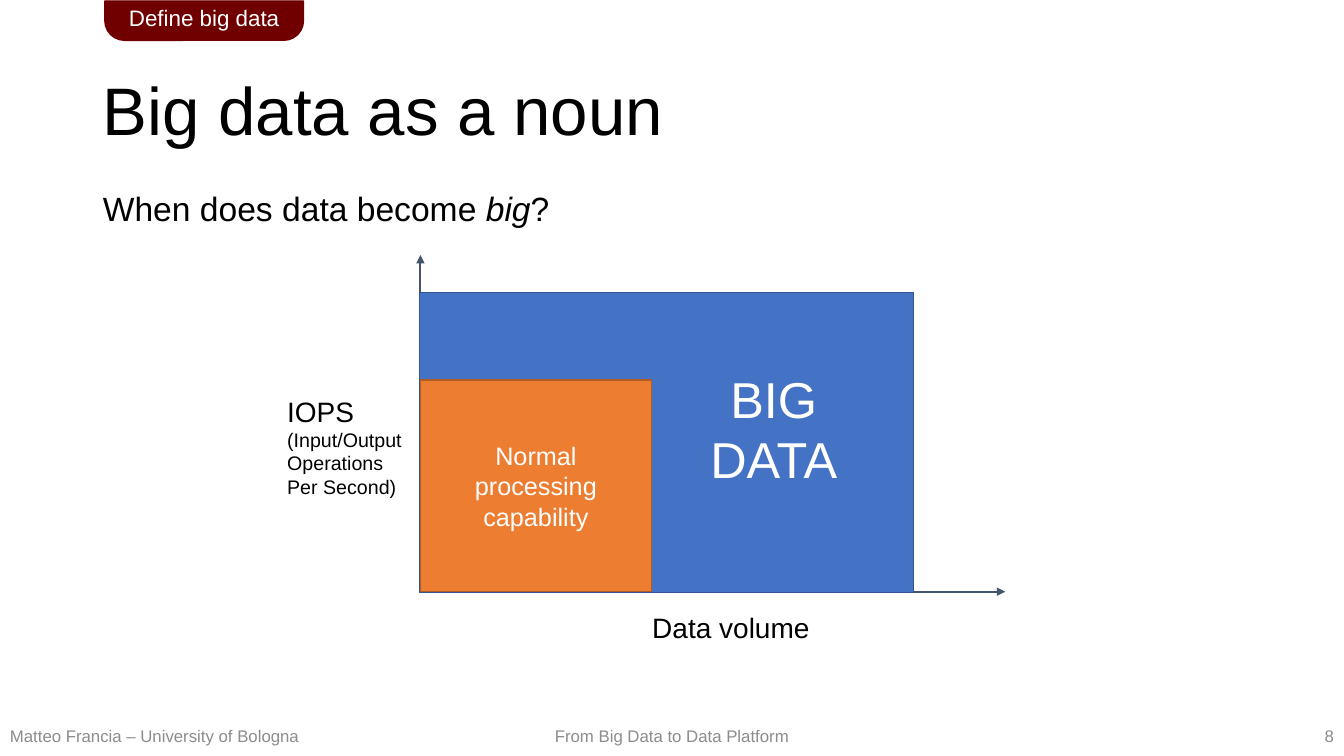
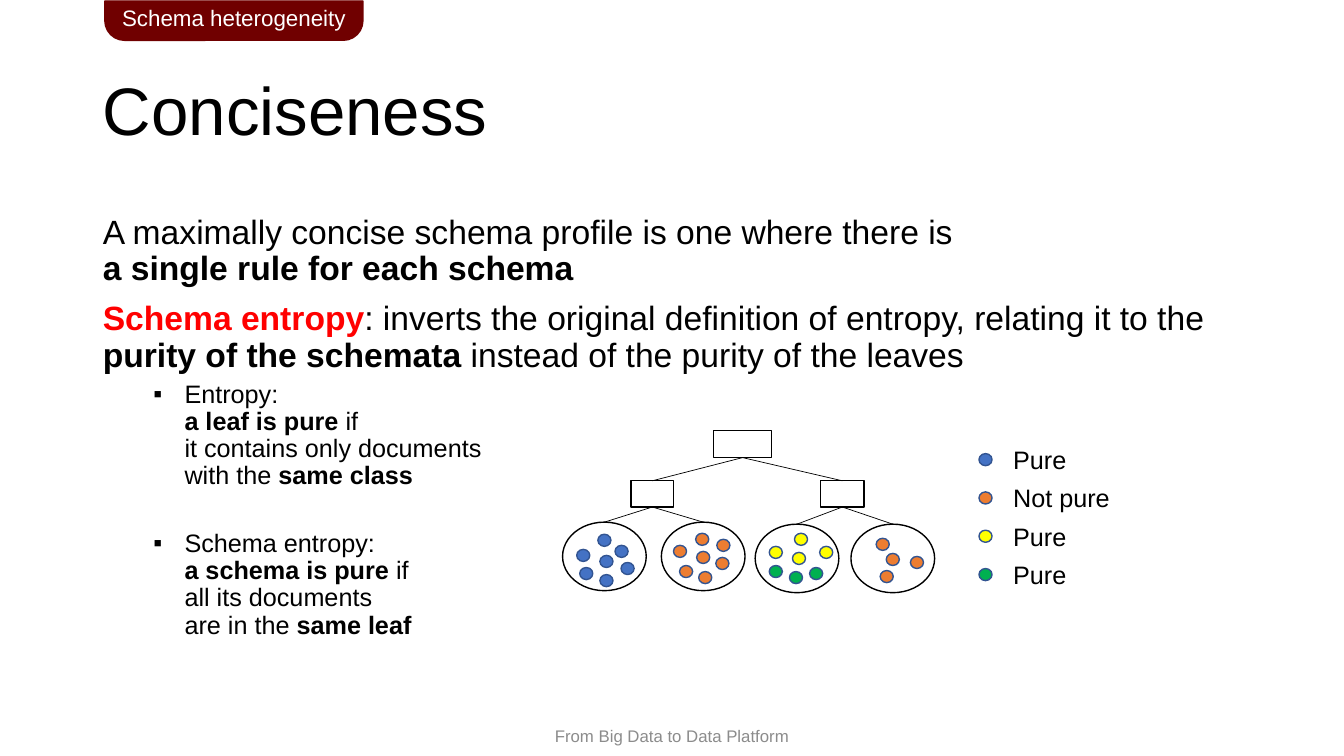
from lxml.etree import SubElement
from pptx import Presentation
from pptx.dml.color import RGBColor
from pptx.enum.shapes import MSO_CONNECTOR, MSO_SHAPE
from pptx.enum.text import MSO_ANCHOR, MSO_AUTO_SIZE, PP_ALIGN
from pptx.oxml.ns import qn
from pptx.util import Inches, Pt

FONT = "Arial"
COLORS = {
    "black": "000000", "white": "FFFFFF", "grey": "8C8C8C", "slate": "44546A",
    "maroon": "700000", "red": "FF0000", "blue": "4472C4", "navy": "325491",
    "orange": "ED7D31", "brown": "AF5C24", "yellow": "FFFF00", "green": "00B050",
}
LEFT, CENTER, RIGHT = PP_ALIGN.LEFT, PP_ALIGN.CENTER, PP_ALIGN.RIGHT
BOLD = {"bold": True}


def rgb(name):
    return RGBColor.from_string(COLORS[name])


def write(paragraph, text, size=18, color="black", bold=False, italic=False):
    """Append text to a paragraph, turning each newline into a line break."""
    for index, line in enumerate(text.split("\n")):
        if index:
            paragraph.add_line_break()
        if line:
            run = paragraph.add_run()
            run.text = line
            font = run.font
            font.name, font.size = FONT, Pt(size)
            font.bold, font.italic = bold, italic
            font.color.rgb = rgb(color)


def set_bullet(paragraph, char=None, margin=0, hang=0):
    properties = paragraph._p.get_or_add_pPr()
    properties.set("marL", str(Inches(margin)))
    properties.set("indent", str(-Inches(hang)))
    if char:
        SubElement(properties, qn("a:buChar")).set("char", char)
    else:
        SubElement(properties, qn("a:buNone"))


def paragraphs(frame, count):
    """Return count paragraphs, the first being the one the frame already has."""
    return [frame.paragraphs[0]] + [frame.add_paragraph() for _ in range(count - 1)]


class Deck:
    def __init__(self):
        self.presentation = Presentation()
        self.presentation.slide_width = Inches(13.33)
        self.presentation.slide_height = Inches(7.5)
        self.slide = None

    def new_slide(self, title, section, tab_width):
        layout = self.presentation.slide_layouts[1]
        self.slide = self.presentation.slides.add_slide(layout)
        frame = self.place(self.slide.shapes.title, 0.4, 1.45, MSO_ANCHOR.MIDDLE)
        heading = frame.paragraphs[0]
        heading.alignment, heading.line_spacing = LEFT, 0.9
        write(heading, title, size=48)
        self.footer("From Big Data to Data Platform", 4.79, 3.75, CENTER)
        tab = self.shape(MSO_SHAPE.ROUND_2_SAME_RECTANGLE, 1.04, 0.01, tab_width, 0.39,
                         fill="maroon", line="maroon", lines=[section], size=16)
        tab.adjustments[0], tab.adjustments[1] = 0, 0.5

    def place(self, placeholder, top, height, anchor):
        placeholder.left, placeholder.top = Inches(0.92), Inches(top)
        placeholder.width, placeholder.height = Inches(11.5), Inches(height)
        frame = placeholder.text_frame
        frame.auto_size, frame.vertical_anchor = MSO_AUTO_SIZE.NONE, anchor
        return frame

    def body(self, items, anchor=MSO_ANCHOR.TOP):
        """Fill the body with (level, space before, runs) items."""
        frame = self.place(self.slide.placeholders[1], 1.86, 4.76, anchor)
        for paragraph, (level, space, runs) in zip(paragraphs(frame, len(items)), items):
            paragraph.level, paragraph.alignment = level, LEFT
            paragraph.line_spacing, paragraph.space_before = 0.9, Pt(space)
            if level:
                set_bullet(paragraph, "▪", margin=0.81, hang=0.31)
            else:
                set_bullet(paragraph)
            for text, style in runs:
                write(paragraph, text, size=18 if level else 24, **style)

    def label(self, left, top, width, height, lines, align=LEFT, wrap=False,
              anchor=MSO_ANCHOR.TOP, color="black"):
        """Add a text box from (text, size) lines."""
        box = self.slide.shapes.add_textbox(
            Inches(left), Inches(top), Inches(width), Inches(height))
        frame = box.text_frame
        frame.word_wrap, frame.vertical_anchor = wrap, anchor
        for paragraph, (text, size) in zip(paragraphs(frame, len(lines)), lines):
            paragraph.alignment = align
            write(paragraph, text, size=size, color=color)

    def footer(self, text, left, width, align):
        self.label(left, 7.1, width, 0.4, [(text, 12)], align, wrap=True,
                   anchor=MSO_ANCHOR.MIDDLE, color="grey")

    def shape(self, kind, left, top, width, height, fill=None, line="black",
              lines=(), size=18):
        shape = self.slide.shapes.add_shape(
            kind, Inches(left), Inches(top), Inches(width), Inches(height))
        shape.shadow.inherit = False
        if fill:
            shape.fill.solid()
            shape.fill.fore_color.rgb = rgb(fill)
        else:
            shape.fill.background()
        shape.line.color.rgb, shape.line.width = rgb(line), Pt(1)
        if lines:
            frame = shape.text_frame
            frame.vertical_anchor = MSO_ANCHOR.MIDDLE
            for paragraph, text in zip(paragraphs(frame, len(lines)), lines):
                paragraph.alignment = CENTER
                write(paragraph, text, size=size, color="white")
        return shape

    def dot(self, left, top, color):
        self.shape(MSO_SHAPE.OVAL, left, top, 0.13, 0.12, fill=color, line="navy")

    def line(self, start, end, color="black", width=0.5, arrow=False):
        connector = self.slide.shapes.add_connector(
            MSO_CONNECTOR.STRAIGHT, *(Inches(value) for value in (*start, *end)))
        connector.line.color.rgb, connector.line.width = rgb(color), Pt(width)
        if arrow:
            SubElement(connector.line._get_or_add_ln(), qn("a:tailEnd")).set("type", "triangle")
        SubElement(connector._element.spPr, qn("a:effectLst"))

    def branch(self, parent, child):
        """Join the bottom centre of one box to the top centre of another."""
        left, top, width, height = parent
        self.line((left + width / 2, top + height), (child[0] + child[2] / 2, child[1]))


def build_noun_slide(deck):
    deck.new_slide("Big data as a noun", "Define big data", 1.97)
    deck.body([(0, 0, [("When does data become ", {}), ("big", {"italic": True}), ("?", {})])])
    deck.footer("Matteo Francia – University of Bologna", 0, 3.39, LEFT)
    deck.footer("8", 10.33, 3, RIGHT)

    origin = (4.17, 5.87)
    for axis_end in ((9.97, 5.87), (4.17, 2.53)):
        deck.line(origin, axis_end, color="slate", width=1.5, arrow=True)
    deck.shape(MSO_SHAPE.RECTANGLE, 4.16, 2.9, 4.9, 2.98, fill="blue", line="navy")
    deck.shape(MSO_SHAPE.RECTANGLE, 4.17, 3.77, 2.29, 2.1, fill="orange", line="brown",
               lines=["Normal", "processing", "capability"])
    deck.label(2.75, 3.86, 1.4, 1.14,
               [("IOPS", 20), ("(Input/Output \nOperations \nPer Second)", 14)])
    deck.label(6.94, 3.6, 1.47, 1.31, [("BIG", 36), ("DATA", 36)], CENTER, color="white")
    deck.label(6.37, 6.01, 1.78, 0.44, [("Data volume", 20)])


def build_conciseness_slide(deck):
    deck.new_slide("Conciseness", "Schema heterogeneity", 2.56)
    deck.body([
        (0, 0, [("A maximally concise schema profile is one where there is \n", {}),
                ("a single rule for each schema", BOLD)]),
        (0, 10, [("Schema entropy", {"bold": True, "color": "red"}),
                 (": inverts the original definition of entropy, relating it to the ", {}),
                 ("purity of the schemata ", BOLD),
                 ("instead of the purity of the leaves", {})]),
        (1, 5, [("Entropy:\n", {}), ("a leaf is pure", BOLD),
                (" if \nit contains only documents \nwith the ", {}), ("same class", BOLD)]),
        (1, 29, [("Schema entropy: \n", {}), ("a schema is pure ", BOLD),
                 ("if \nall its documents \nare in the ", {}), ("same leaf", BOLD)]),
    ], MSO_ANCHOR.MIDDLE)

    root = (7.08, 4.27, 0.57, 0.27)
    inner_nodes = [(6.26, 4.77, 0.42, 0.26), (8.14, 4.77, 0.43, 0.26)]
    leaves = [(left, top, 0.83, 0.68)
              for left, top in ((5.58, 5.18), (6.56, 5.18), (7.49, 5.2), (8.44, 5.2))]
    for node in (root, *inner_nodes):
        deck.shape(MSO_SHAPE.RECTANGLE, *node)
    for index, node in enumerate(inner_nodes):
        deck.branch(root, node)
        for leaf in leaves[2 * index:2 * index + 2]:
            deck.branch(node, leaf)
    for leaf in leaves:
        deck.shape(MSO_SHAPE.OVAL, *leaf)

    documents = [
        ("blue", [(5.93, 5.3), (6.1, 5.41), (5.72, 5.45), (5.95, 5.51),
                  (6.16, 5.58), (5.75, 5.63), (5.95, 5.7)]),
        ("orange", [(6.9, 5.29), (7.11, 5.35), (6.68, 5.41), (6.91, 5.47),
                    (7.1, 5.53), (6.74, 5.61), (6.93, 5.67),
                    (8.69, 5.34), (8.79, 5.49), (9.03, 5.52), (8.73, 5.66)]),
        ("yellow", [(7.88, 5.29), (8.13, 5.42), (7.63, 5.42), (7.86, 5.48)]),
        ("green", [(8.03, 5.63), (7.63, 5.61), (7.83, 5.67)]),
    ]
    verdicts = ["Pure", "Not pure", "Pure", "Pure"]
    for row, ((color, spots), verdict) in enumerate(zip(documents, verdicts)):
        for left, top in spots:
            deck.dot(left, top, color)
        deck.dot(9.71, 4.5 + 0.38 * row, color)
        deck.label(9.95, 4.36 + 0.38 * row, 1.17 if verdict == "Not pure" else 0.73, 0.4,
                   [(verdict, 18)])


def main():
    deck = Deck()
    build_noun_slide(deck)
    build_conciseness_slide(deck)
    deck.presentation.save("out.pptx")


if __name__ == "__main__":
    main()
